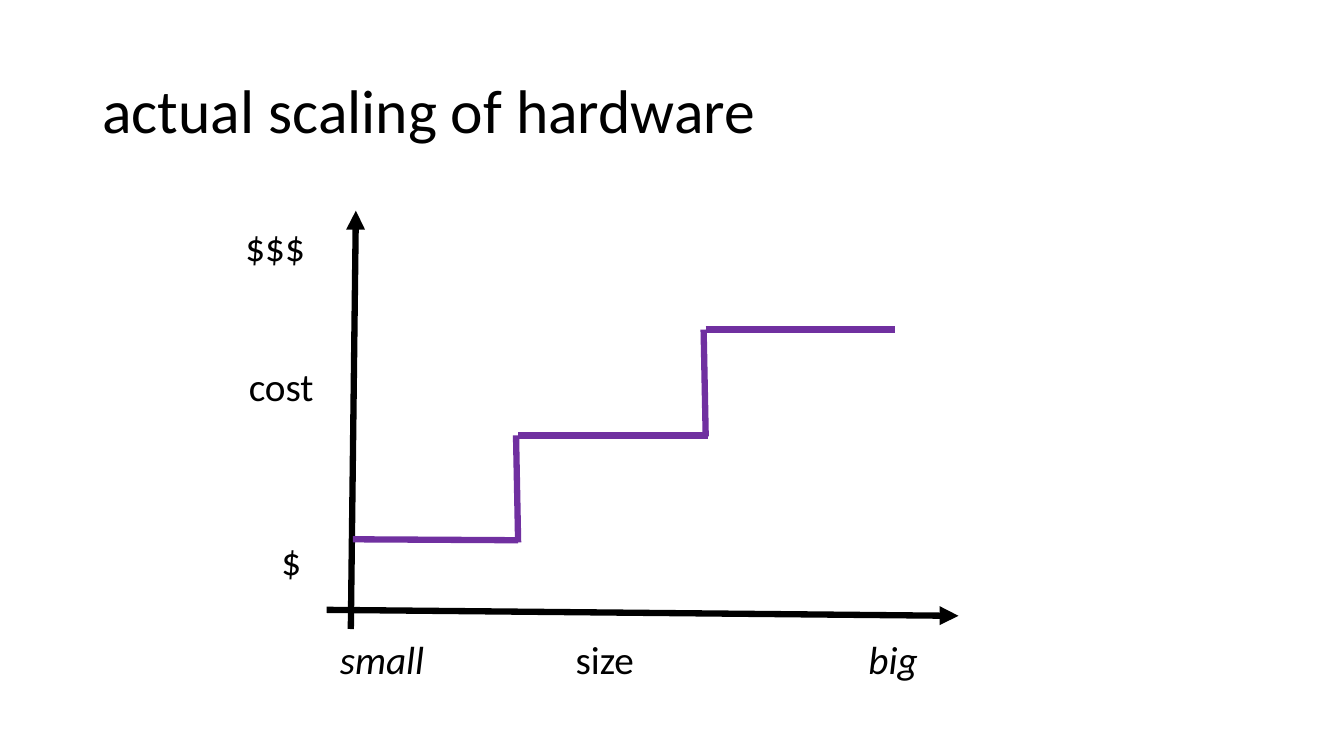
from typing import NamedTuple

from lxml import etree
from pptx import Presentation
from pptx import util as u
from pptx.dml import color
from pptx.enum import shapes, text
from pptx.oxml import ns

BLACK = "000000"
PURPLE = "7030A0"
STROKE = 4.5
LABEL_WIDTH, LABEL_HEIGHT = 216, 41.2
SIZE_LABEL_TOP = 450
STEP_RUN, STEP_RISE = 134, 75.6


class Label(NamedTuple):
    words: str
    left: float
    top: float
    italic: bool = False


class Line(NamedTuple):
    x1: float
    y1: float
    x2: float
    y2: float
    hue: str = PURPLE
    arrow: bool = False


LABELS = [
    Label("$$$", 88.6, 155.5),
    Label("cost", 92.9, 254.9),
    Label("$", 100.1, 379.4),
    Label("small", 164.9, SIZE_LABEL_TOP, italic=True),
    Label("size", 324, SIZE_LABEL_TOP),
    Label("big", 529.9, SIZE_LABEL_TOP, italic=True),
]

AXES = [
    Line(250.6, 449.3, 254.2, 150.5, BLACK, arrow=True),
    Line(233.3, 435.6, 684.7, 439.9, BLACK, arrow=True),
]


def rgb(value: str) -> color.RGBColor:
    return color.RGBColor.from_string(value)


def write(shape, words: str, *, size: float, hue: str = BLACK, italic: bool = False,
          align=text.PP_ALIGN.LEFT, anchor=text.MSO_ANCHOR.TOP,
          fit=text.MSO_AUTO_SIZE.NONE, spacing: float = 1.0) -> None:
    frame = shape.text_frame
    frame.word_wrap = True
    frame.auto_size = fit
    frame.vertical_anchor = anchor
    paragraph = frame.paragraphs[0]
    paragraph.alignment = align
    paragraph.line_spacing = spacing
    run = paragraph.add_run()
    run.text = words
    run.font.name = "Calibri"
    run.font.size = u.Pt(size)
    run.font.italic = italic
    run.font.color.rgb = rgb(hue)


def draw_label(slide, label: Label) -> None:
    shape = slide.shapes.add_textbox(
        u.Pt(label.left), u.Pt(label.top), u.Pt(LABEL_WIDTH), u.Pt(LABEL_HEIGHT))
    write(shape, label.words, size=28, italic=label.italic,
          align=text.PP_ALIGN.CENTER, fit=text.MSO_AUTO_SIZE.SHAPE_TO_FIT_TEXT)


def draw_line(slide, line: Line) -> None:
    connector = slide.shapes.add_connector(
        shapes.MSO_CONNECTOR.STRAIGHT,
        u.Pt(line.x1), u.Pt(line.y1), u.Pt(line.x2), u.Pt(line.y2))
    connector.line.color.rgb = rgb(line.hue)
    connector.line.width = u.Pt(STROKE)
    if line.arrow:
        etree.SubElement(connector.line._get_or_add_ln(), ns.qn("a:tailEnd"), type="triangle")
    etree.SubElement(connector._element.spPr, ns.qn("a:effectLst"))


def cost_steps(count: int) -> list[Line]:
    steps = [Line(252, 385.2, 370.1, 385.9)]
    for index in range(count):
        x = 370.1 + index * STEP_RUN
        y = 311 - index * STEP_RISE
        steps.append(Line(x - 1.5, y, x, y + 76.4))
        steps.append(Line(x, y, x + 135.4, y))
    return steps


def main() -> None:
    presentation = Presentation()
    presentation.slide_width, presentation.slide_height = u.Pt(960), u.Pt(540)
    slide = presentation.slides.add_slide(presentation.slide_layouts[5])

    title = slide.shapes.title
    title.left, title.top = u.Pt(66), u.Pt(28.8)
    title.width, title.height = u.Pt(856), u.Pt(104.4)
    write(title, "actual scaling of hardware", size=44,
          anchor=text.MSO_ANCHOR.MIDDLE, spacing=0.9)

    for axis in AXES:
        draw_line(slide, axis)
    for label in LABELS:
        draw_label(slide, label)
    for step in cost_steps(2):
        draw_line(slide, step)

    presentation.save("out.pptx")


if __name__ == "__main__":
    main()
